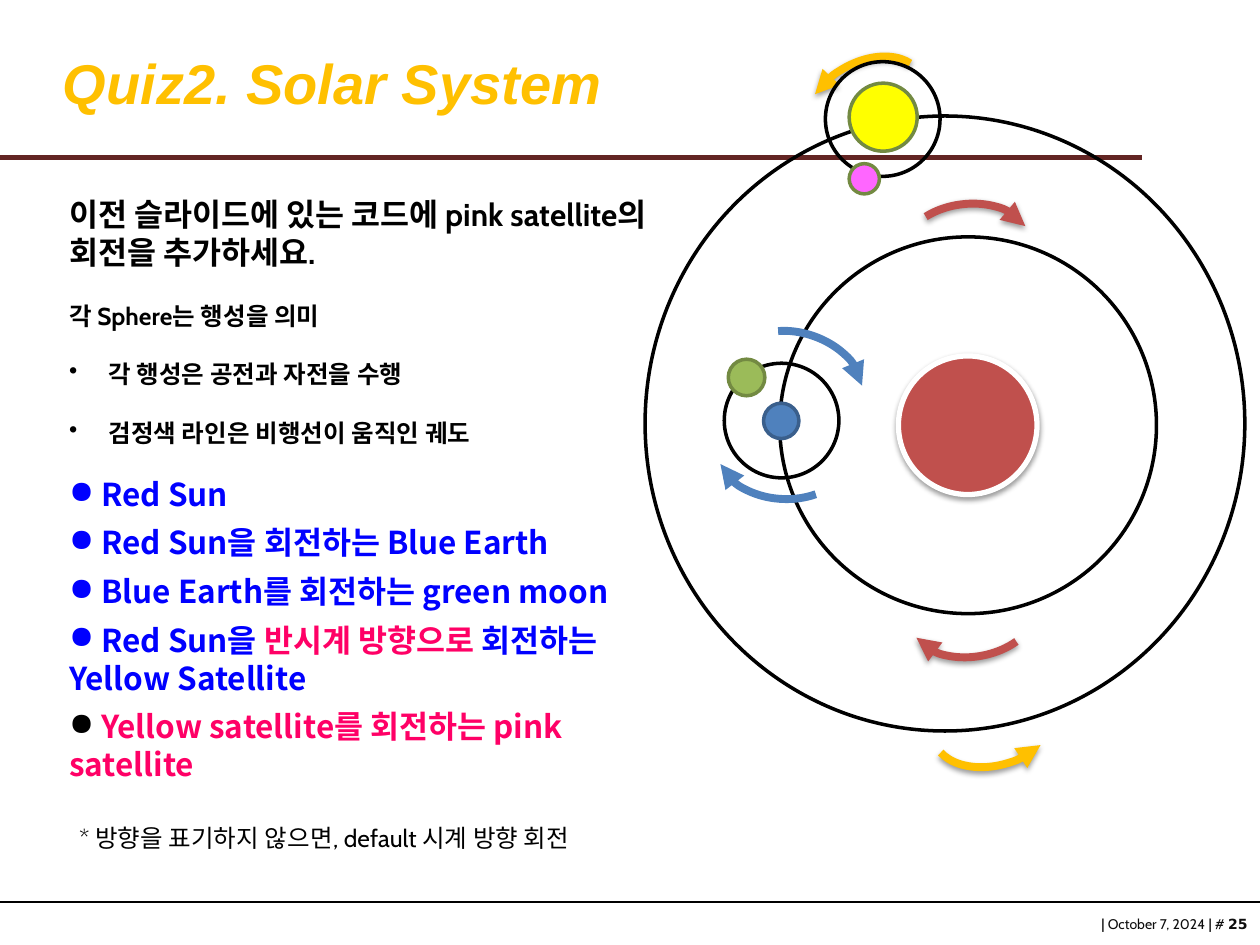
from lxml.etree import SubElement
from pptx import Presentation
from pptx.dml.color import RGBColor
from pptx.enum.shapes import MSO_CONNECTOR, MSO_SHAPE
from pptx.enum.text import MSO_ANCHOR as Anchor, PP_ALIGN as Align
from pptx.oxml.ns import qn
from pptx.util import Pt

THEME = {
    "black": "000000", "ink": "0D0D0D", "white": "FFFFFF", "maroon": "632523",
    "gold": "FFC000", "red": "C0504D", "blue": "4F81BD", "navy": "3A5F8C",
    "green": "9BBB59", "olive": "738A42", "yellow": "FFFF00", "pink": "FF66FF",
    "link": "0000FF", "accent": "FF0066",
    "title": 32, "lead": 18, "body": 14, "footer": 8,
    "head_font": "Arial", "body_font": "Cabin",
    "list_font": "Noto Sans CJK KR", "number_font": "DejaVu Sans",
}

# Each paragraph is (runs, paragraph format); each run is (text, run format).
TITLE = [([("Quiz2. Solar System", {})], {})]
TASK = [
    ([("이전 슬라이드에 있는 코드에 pink satellite의 회전을 추가하세요.", {"size": "lead"})], {}),
    ([("각 Sphere는 행성을 의미", {})], {"before": 17}),
    ([("각 행성은 공전과 자전을 수행", {})], {"bullet": "•", "indent": 22.5, "spacing": 2.0}),
    ([("검정색 라인은 비행선이 움직인 궤도", {})], {"bullet": "•", "indent": 22.5, "spacing": 2.0}),
]
BODY_RUNS = [
    [(" Red Sun", {})],
    [(" Red Sun을 회전하는 Blue Earth", {})],
    [(" Blue Earth를 회전하는 green moon", {})],
    [(" Red Sun을 ", {}), ("반시계 방향으로 ", {"color": "accent"}),
     ("회전하는 Yellow Satellite", {})],
    [(" ", {"color": "black", "bold": False}),
     ("Yellow satellite를 회전하는 pink satellite", {"color": "accent"})],
]
BODIES = [(runs, {"bullet": "●", "before": 6 if row else 0, "spacing": Pt(21.7)})
          for row, runs in enumerate(BODY_RUNS)]
NOTE = [([("* 방향을 표기하지 않으면, default 시계 방향 회전", {})], {})]
FOOTER = [([("| ", {"bold": True}), ("October 7, 2024 ", {}), ("|", {"bold": True}),
            (" # ", {}), ("25", {"bold": True, "font": "number_font"})],
          {"align": Align.RIGHT})]

# Centre x, centre y, width, height, fill, line, line width, shadow
INNER_DISCS = [
    (553, 243, 79.2, 79.2, "red", "white", 3, True),
    (553.2, 243, 215.3, 215.3, None, "black", 2, False),
    (446.4, 240.5, 20.2, 20.2, "blue", "navy", 2, False),
    (446.6, 240.3, 65.5, 65.5, None, "black", 2, False),
    (426.6, 215.7, 20.9, 20.9, "green", "olive", 2, False),
]
OUTER_DISCS = [
    (540, 242, 342.7, 351.4, None, "black", 2, False),
    (504.7, 67, 38.9, 38.9, "yellow", "olive", 2, False),
]
SATELLITE_DISCS = [
    (504.4, 68, 65.5, 65.5, None, "black", 2, False),
    (493.9, 102.2, 17.3, 17.3, "pink", "olive", 2, False),
]
# Centre x, centre y, rotation, colour, arrow end, shadow
INNER_TURNS = [
    (552.2, 141.1, 262.5, "red", "tailEnd", True),
    (556.6, 350.6, 79.2, "red", "tailEnd", True),
    (457.2, 215.3, 290.1, "blue", "tailEnd", False),
    (447.1, 260.6, 94.6, "blue", "tailEnd", False),
]
OUTER_TURNS = [
    (493.9, 60.5, 239.1, "gold", "headEnd", True),
    (568.8, 412.6, 72.8, "gold", "headEnd", True),
]
TURN_SIZE = (49, 73.4)
TURN_ANGLES = (188.54, 46.82)


def rgb(name):
    return RGBColor.from_string(THEME[name])


def add_text(slide, box, paragraphs, anchor=Anchor.TOP, left_inset=7.2, wrap=True, **base):
    """Write paragraphs in a box; base holds size, color, font, bold and italic."""
    frame = slide.shapes.add_textbox(*map(Pt, box)).text_frame
    frame.word_wrap = wrap
    frame.vertical_anchor = anchor
    frame.margin_left = Pt(left_inset)
    for row, (runs, layout) in enumerate(paragraphs):
        para = frame.add_paragraph() if row else frame.paragraphs[0]
        para.alignment = layout.get("align", Align.LEFT)
        para.space_before = Pt(layout.get("before", 0))
        para.line_spacing = layout.get("spacing", 1.0)
        if "bullet" in layout:
            props = para._p.get_or_add_pPr()
            indent = Pt(layout.get("indent", 0))
            props.set("marL", str(indent))
            props.set("indent", str(-indent))
            SubElement(props, qn("a:buChar"), char=layout["bullet"])
        for words, changes in runs:
            look = {**base, **changes}
            run = para.add_run()
            run.text = words
            run.font.size = Pt(THEME[look["size"]])
            run.font.bold = look.get("bold", False)
            run.font.italic = look.get("italic", False)
            run.font.color.rgb = rgb(look["color"])
            run.font.name = THEME[look["font"]]
            SubElement(run.font._element, qn("a:ea"), typeface=run.font.name)


def add_rule(slide, y, end, color, weight):
    rule = slide.shapes.add_connector(MSO_CONNECTOR.STRAIGHT, 0, Pt(y), Pt(end), Pt(y))
    rule.line.color.rgb = rgb(color)
    rule.line.width = Pt(weight)
    SubElement(rule._element.spPr, qn("a:effectLst"))


def add_centred(slide, preset, x, y, width, height, fill, line, weight, shadow):
    """Place a preset shape by its centre."""
    shape = slide.shapes.add_shape(
        preset, Pt(x - width / 2), Pt(y - height / 2), Pt(width), Pt(height))
    if fill:
        shape.fill.solid()
        shape.fill.fore_color.rgb = rgb(fill)
    else:
        shape.fill.background()
    shape.line.color.rgb = rgb(line)
    shape.line.width = Pt(weight)
    shape.shadow.inherit = False
    if shadow:
        effects = shape._element.spPr.find(qn("a:effectLst"))
        outer = SubElement(effects, qn("a:outerShdw"), blurRad=str(Pt(3.1)),
                           dist=str(Pt(1.6)), dir="5400000", rotWithShape="0")
        tint = SubElement(outer, qn("a:srgbClr"), val=THEME["black"])
        SubElement(tint, qn("a:alpha"), val="38000")
    return shape


def add_turn(slide, x, y, rotation, color, arrow_end, shadow):
    """Draw a curved arrow that shows a direction of rotation."""
    turn = add_centred(slide, MSO_SHAPE.ARC, x, y, *TURN_SIZE, None, color, 4.5, shadow)
    for index, angle in enumerate(TURN_ANGLES):
        turn.adjustments[index] = angle
    turn.rotation = rotation
    SubElement(turn.line._get_or_add_ln(), qn(f"a:{arrow_end}"), type="triangle")


def main():
    deck = Presentation()
    deck.slide_width, deck.slide_height = Pt(720), Pt(540)
    slide = deck.slides.add_slide(deck.slide_layouts[6])

    add_text(slide, (607.7, 519.8, 112.3, 17.3), FOOTER,
             size="footer", color="ink", font="body_font")
    add_rule(slide, 90, 652.5, "maroon", 3)
    add_rule(slide, 515.5, 720, "black", 1)
    add_text(slide, (21.6, 15.8, 648, 62.6), TITLE, anchor=Anchor.MIDDLE, left_inset=14.4,
             size="title", color="gold", font="head_font", bold=True, italic=True)

    for discs, turns in ((INNER_DISCS, INNER_TURNS), (OUTER_DISCS, OUTER_TURNS),
                         (SATELLITE_DISCS, [])):
        for disc in discs:
            add_centred(slide, MSO_SHAPE.OVAL, *disc)
        for turn in turns:
            add_turn(slide, *turn)

    add_text(slide, (32.4, 108, 347, 147.6), TASK,
             size="body", color="black", font="body_font", bold=True)
    add_text(slide, (32.4, 267.8, 340.6, 184.3), BODIES,
             size="lead", color="link", font="list_font", bold=True)
    add_text(slide, (38.2, 466.6, 326.9, 24.5), NOTE, wrap=False,
             size="body", color="black", font="body_font")
    deck.save("out.pptx")


if __name__ == "__main__":
    main()
